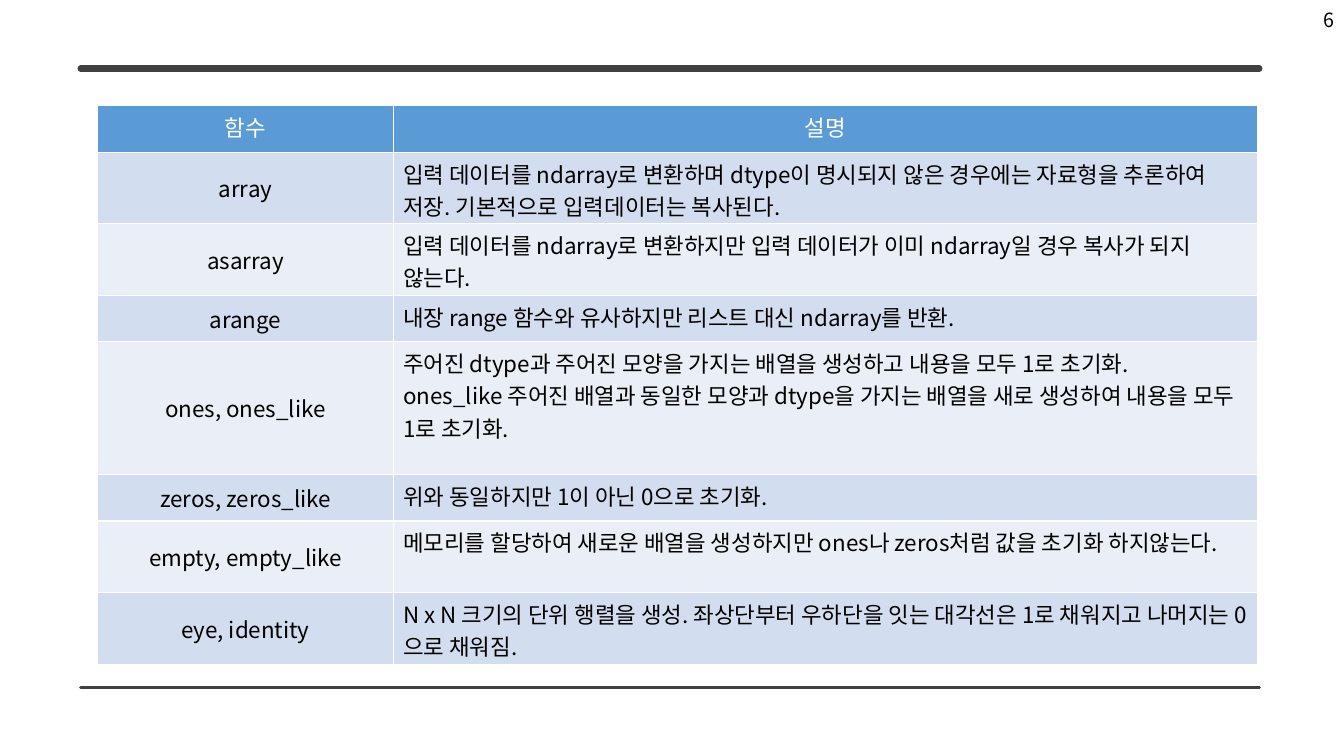
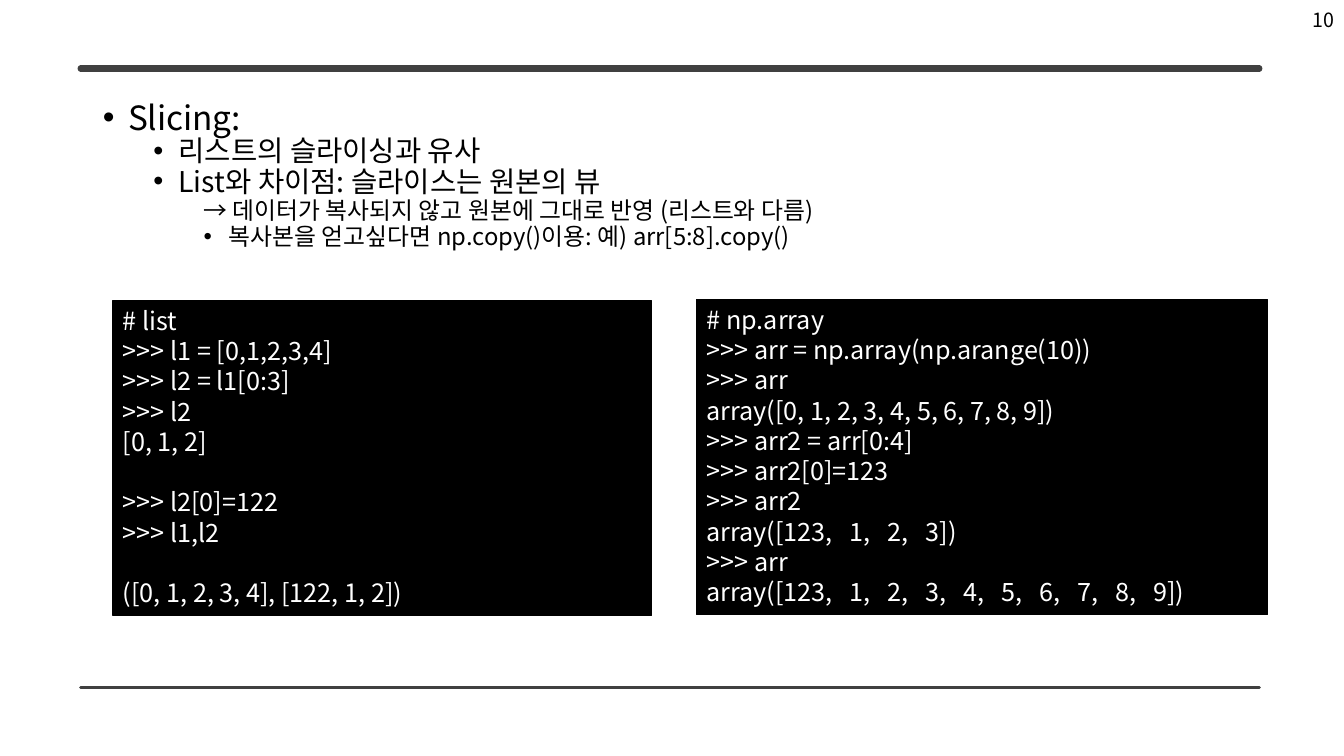
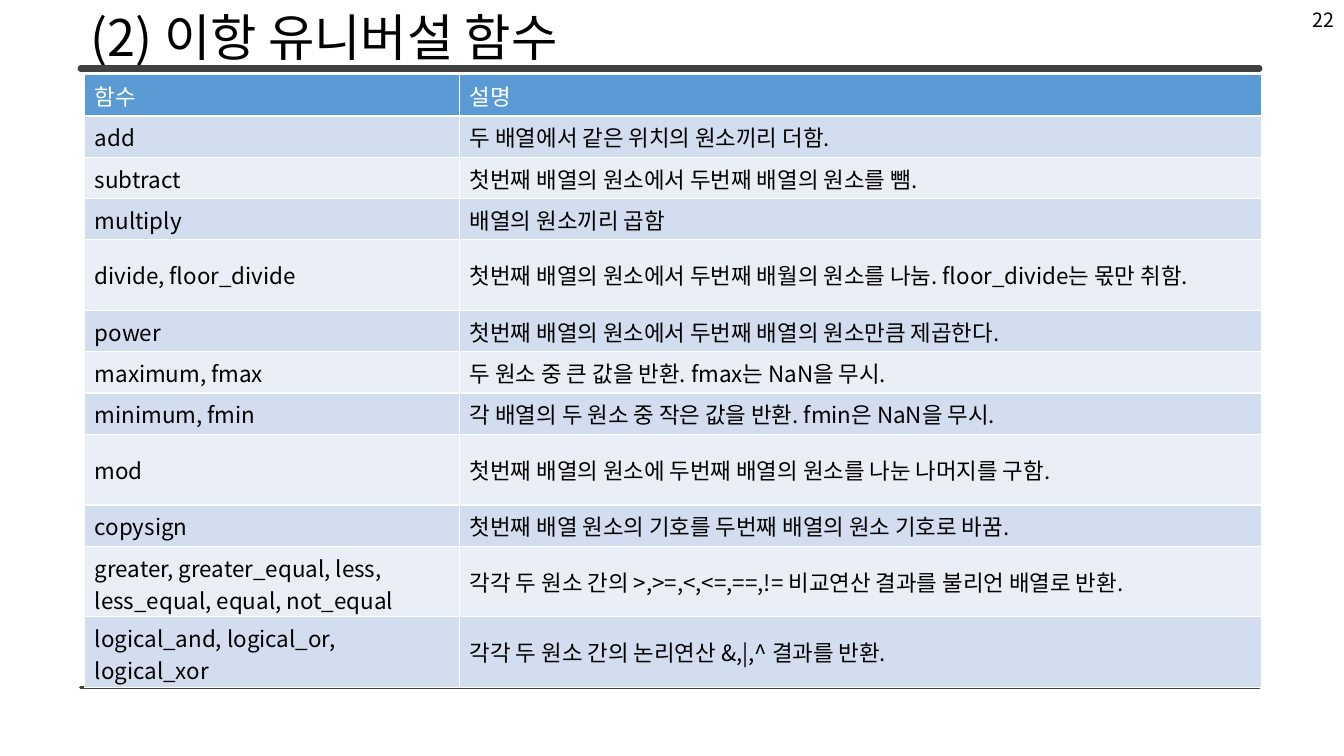
from dataclasses import dataclass

from lxml.etree import SubElement
from pptx import Presentation
from pptx.dml.color import RGBColor as Rgb
from pptx.enum.shapes import MSO_CONNECTOR as Connector, MSO_SHAPE as Preset
from pptx.enum.text import MSO_ANCHOR as Anchor, MSO_AUTO_SIZE as AutoSize, PP_ALIGN as Align
from pptx.oxml.ns import qn
from pptx.util import Inches, Pt


@dataclass(frozen=True)
class Theme:
    """Colours, font and type sizes shared by the slides."""
    font: str = "Noto Sans CJK KR"
    ink: str = "000000"
    paper: str = "FFFFFF"
    rule: str = "404040"
    header: str = "5B9BD5"
    bands: tuple = ("D2DEEF", "EAEFF7")
    title: float = 36
    outline: tuple = (23.8, 20.4, 17)
    code: float = 18
    code_pitch: float = 21.6
    cell: float = 16
    number: float = 14


THEME = Theme()
BLANK, TITLE_CONTENT, TITLE_ONLY = 6, 1, 5

CREATION_ROWS = [
    ("함수", "설명", 0.46),
    ("array", "입력 데이터를 ndarray로 변환하며 dtype이 명시되지 않은 경우에는 자료형을 추론하여 저장. 기본적으로 입력데이터는 복사된다.", 0.71),
    ("asarray", "입력 데이터를 ndarray로 변환하지만 입력 데이터가 이미 ndarray일 경우 복사가 되지 않는다.", 0.71),
    ("arange", "내장 range 함수와 유사하지만 리스트 대신 ndarray를 반환.", 0.46),
    ("ones, ones_like", "주어진 dtype과 주어진 모양을 가지는 배열을 생성하고 내용을 모두 1로 초기화.\n"
     "ones_like 주어진 배열과 동일한 모양과 dtype을 가지는 배열을 새로 생성하여 내용을 모두 1로 초기화.", 1.32),
    ("zeros, zeros_like", "위와 동일하지만 1이 아닌 0으로 초기화.", 0.46),
    ("empty, empty_like", "메모리를 할당하여 새로운 배열을 생성하지만 ones나 zeros처럼 값을 초기화 하지않는다.", 0.71),
    ("eye, identity", "N x N 크기의 단위 행렬을 생성. 좌상단부터 우하단을 잇는 대각선은 1로 채워지고 나머지는 0으로 채워짐.", 0.71),
]

BINARY_ROWS = [
    ("함수", "설명", 0.41),
    ("add", "두 배열에서 같은 위치의 원소끼리 더함.", 0.41),
    ("subtract", "첫번째 배열의 원소에서 두번째 배열의 원소를 뺌.", 0.41),
    ("multiply", "배열의 원소끼리 곱함", 0.41),
    ("divide, floor_divide", "첫번째 배열의 원소에서 두번째 배월의 원소를 나눔. floor_divide는 몫만 취함.", 0.7),
    ("power", "첫번째 배열의 원소에서 두번째 배열의 원소만큼 제곱한다.", 0.41),
    ("maximum, fmax", "두 원소 중 큰 값을 반환. fmax는 NaN을 무시.", 0.41),
    ("minimum, fmin", "각 배열의 두 원소 중 작은 값을 반환. fmin은 NaN을 무시.", 0.41),
    ("mod", "첫번째 배열의 원소에 두번째 배열의 원소를 나눈 나머지를 구함.", 0.7),
    ("copysign", "첫번째 배열 원소의 기호를 두번째 배열의 원소 기호로 바꿈.", 0.41),
    ("greater, greater_equal, less, less_equal, equal, not_equal",
     "각각 두 원소 간의 >,>=,<,<=,==,!= 비교연산 결과를 불리언 배열로 반환.", 0.7),
    ("logical_and, logical_or, logical_xor", "각각 두 원소 간의 논리연산 &,|,^ 결과를 반환.", 0.7),
]

SLICING_POINTS = [
    (0, "•", "Slicing:"),
    (1, "•", "리스트의 슬라이싱과 유사"),
    (1, "•", "List와 차이점: 슬라이스는 원본의 뷰"),
    (2, None, "→ 데이터가 복사되지 않고 원본에 그대로 반영 (리스트와 다름)"),
    (2, "•", "복사본을 얻고싶다면 np.copy()이용: 예) arr[5:8].copy()"),
]

LIST_CODE = [
    ["# list", ">>> l1 = [0,1,2,3,4]", ">>> l2 = l1[0:3]", ">>> l2", "[0, 1, 2]"],
    [">>> l2[0]=122", ">>> l1,l2"],
    ["([0, 1, 2, 3, 4], [122, 1, 2])"],
]

ARRAY_CODE = [[
    "# np.array", ">>> arr = np.array(np.arange(10))", ">>> arr",
    "array([0, 1, 2, 3, 4, 5, 6, 7, 8, 9])", ">>> arr2 = arr[0:4]",
    ">>> arr2[0]=123", ">>> arr2", "array([123,   1,   2,   3])", ">>> arr",
    "array([123,   1,   2,   3,   4,   5,   6,   7,   8,   9])",
]]


def style(paragraph, size, color=THEME.ink, align=Align.LEFT):
    """Set the font and alignment of a paragraph."""
    paragraph.alignment = align
    font = paragraph.font
    font.size, font.bold, font.name = Pt(size), False, THEME.font
    font.color.rgb = Rgb.from_string(color)
    defaults = paragraph._p.get_or_add_pPr().find(qn("a:defRPr"))
    SubElement(defaults, qn("a:ea"), typeface=THEME.font)


def place(shape, left, top, width, height):
    """Move and size a shape, in inches."""
    shape.left, shape.top = Inches(left), Inches(top)
    shape.width, shape.height = Inches(width), Inches(height)


def add_rule(slide, y, weight):
    """Draw a round-ended horizontal rule across the page."""
    rule = slide.shapes.add_connector(
        Connector.STRAIGHT, Inches(0.8), Inches(y), Inches(12.49), Inches(y))
    rule.line.color.rgb = Rgb.from_string(THEME.rule)
    rule.line.width = Pt(weight)
    rule.line._get_or_add_ln().set("cap", "rnd")
    SubElement(rule._element.spPr, qn("a:effectLst"))


def add_page(deck, layout, number):
    """Add a slide with the shared rules and page number."""
    slide = deck.slides.add_slide(deck.slide_layouts[layout])
    for placeholder in list(slide.placeholders):
        if placeholder.placeholder_format.idx >= 10:
            placeholder._element.getparent().remove(placeholder._element)
    add_rule(slide, 6.82, 2.25)
    add_rule(slide, 0.68, 4.5)
    page_number = slide.shapes.add_textbox(Inches(10.33), 0, Inches(3), Inches(0.4)).text_frame
    page_number.word_wrap = True
    page_number.vertical_anchor = Anchor.MIDDLE
    page_number.text = str(number)
    style(page_number.paragraphs[0], THEME.number, align=Align.RIGHT)
    return slide


def set_title(slide, text):
    """Fill, move and format the title placeholder."""
    title = slide.shapes.title
    place(title, 0.8, 0.12, 11.5, 0.56)
    frame = title.text_frame
    frame.text = text
    frame.auto_size = AutoSize.NONE
    frame.vertical_anchor = Anchor.MIDDLE
    frame.paragraphs[0].line_spacing = 0.9
    style(frame.paragraphs[0], THEME.title)


def add_function_table(slide, left, top, widths, rows, centred=False):
    """Add a banded table of functions and their descriptions."""
    heights = [row[2] for row in rows]
    table = slide.shapes.add_table(
        len(rows), len(widths), Inches(left), Inches(top),
        Inches(sum(widths)), Inches(sum(heights))).table
    for column, width in zip(table.columns, widths):
        column.width = Inches(width)
    for r, (name, description, height) in enumerate(rows):
        table.rows[r].height = Inches(height)
        header = r == 0
        for c, text in enumerate((name, description)):
            cell = table.cell(r, c)
            cell.text = text
            cell.fill.solid()
            cell.fill.fore_color.rgb = Rgb.from_string(
                THEME.header if header else THEME.bands[(r - 1) % 2])
            at_top = centred and (header or c == 1)
            cell.vertical_anchor = Anchor.TOP if at_top else Anchor.MIDDLE
            align = Align.CENTER if centred and (header or c == 0) else Align.LEFT
            for paragraph in cell.text_frame.paragraphs:
                style(paragraph, THEME.cell, THEME.paper if header else THEME.ink, align)


def set_outline(body, points):
    """Fill the body placeholder with levelled bullet points."""
    place(body, 0.92, 0.86, 11.5, 1.8)
    frame = body.text_frame
    frame.text = "\n".join(text for _, _, text in points)
    frame.auto_size = AutoSize.NONE
    frame.vertical_anchor = Anchor.MIDDLE
    for paragraph, (level, bullet, _) in zip(frame.paragraphs, points):
        paragraph.level = level
        paragraph.line_spacing = 0.8
        paragraph.space_before = Pt(2.3)
        properties = paragraph._p.get_or_add_pPr()
        hang = 0.25 if bullet else 0
        properties.set("marL", str(Inches(level * 0.5 + hang)))
        properties.set("indent", str(Inches(-hang)))
        if bullet:
            SubElement(properties, qn("a:buFont"), typeface="Arial")
            SubElement(properties, qn("a:buChar"), char=bullet)
        else:
            SubElement(properties, qn("a:buNone"))
        style(paragraph, THEME.outline[level])


def add_code(slide, left, top, width, blocks):
    """Add a console panel whose blocks are one line apart."""
    panel = slide.shapes.add_shape(
        Preset.RECTANGLE, Inches(left), Inches(top), Inches(width), Inches(3.13))
    panel.shadow.inherit = False
    panel.fill.solid()
    panel.fill.fore_color.rgb = panel.line.color.rgb = Rgb.from_string(THEME.ink)
    panel.line.width = Pt(1)
    frame = panel.text_frame
    frame.word_wrap = True
    frame.vertical_anchor = Anchor.TOP
    frame.text = "\n".join(line for block in blocks for line in block)
    opens_block = [b > 0 and i == 0 for b, block in enumerate(blocks) for i in range(len(block))]
    for paragraph, after_gap in zip(frame.paragraphs, opens_block):
        paragraph.line_spacing = Pt(THEME.code_pitch)
        paragraph.space_before = Pt(THEME.code_pitch if after_gap else 0)
        style(paragraph, THEME.code, THEME.paper)


def main():
    """Build and save the deck."""
    deck = Presentation()
    deck.slide_width, deck.slide_height = Inches(13.33), Inches(7.5)

    creation = add_page(deck, BLANK, 6)
    add_function_table(creation, 0.97, 1.05, (2.93, 8.57), CREATION_ROWS, centred=True)

    slicing = add_page(deck, TITLE_CONTENT, 10)
    unused_title = slicing.shapes.title._element
    unused_title.getparent().remove(unused_title)
    set_outline(slicing.placeholders[1], SLICING_POINTS)
    add_code(slicing, 6.91, 2.97, 5.66, ARRAY_CODE)
    add_code(slicing, 1.12, 2.98, 5.34, LIST_CODE)

    binary = add_page(deck, TITLE_ONLY, 22)
    set_title(binary, "(2) 이항 유니버설 함수")
    add_function_table(binary, 0.84, 0.74, (3.72, 7.95), BINARY_ROWS)

    deck.save("out.pptx")


if __name__ == "__main__":
    main()
